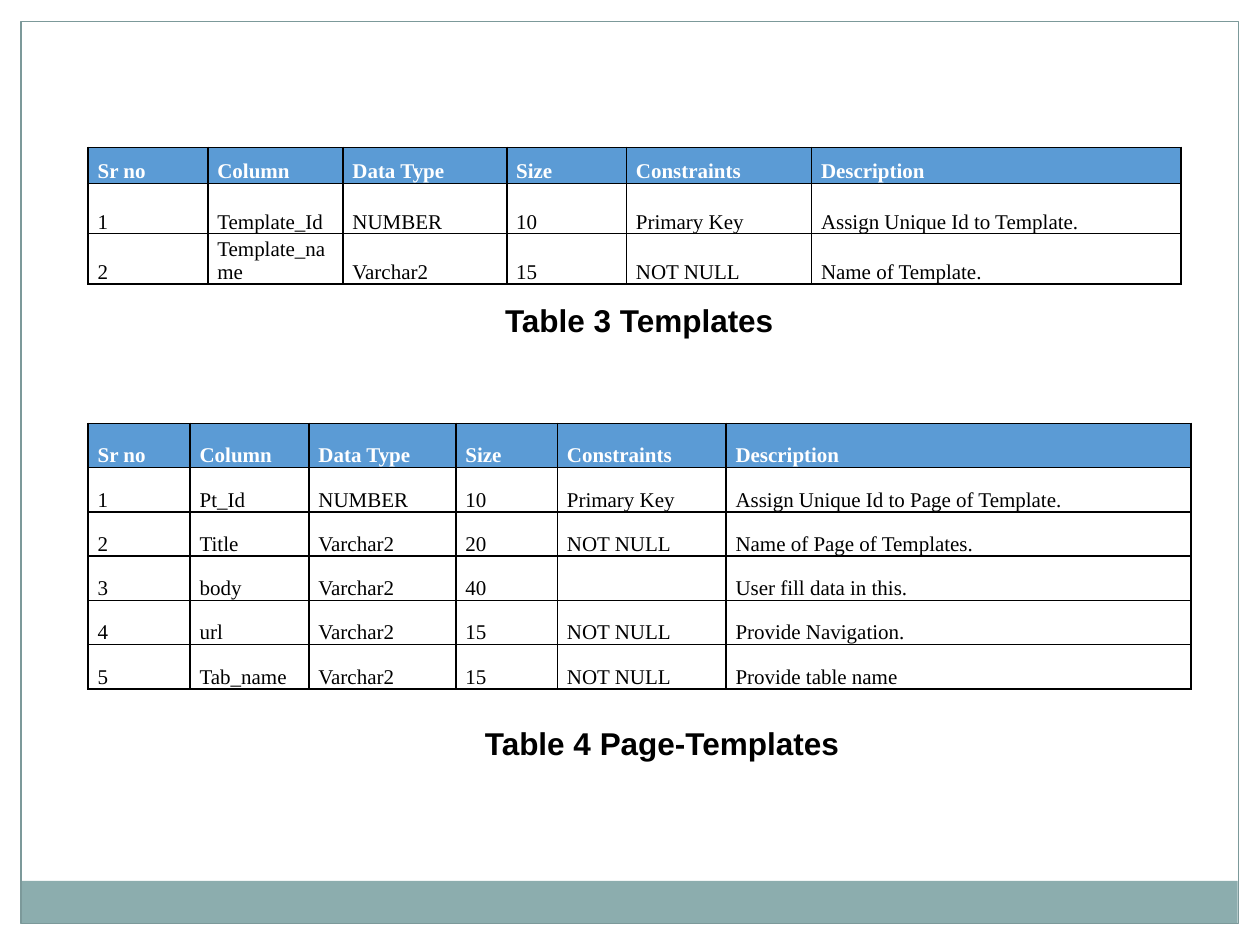
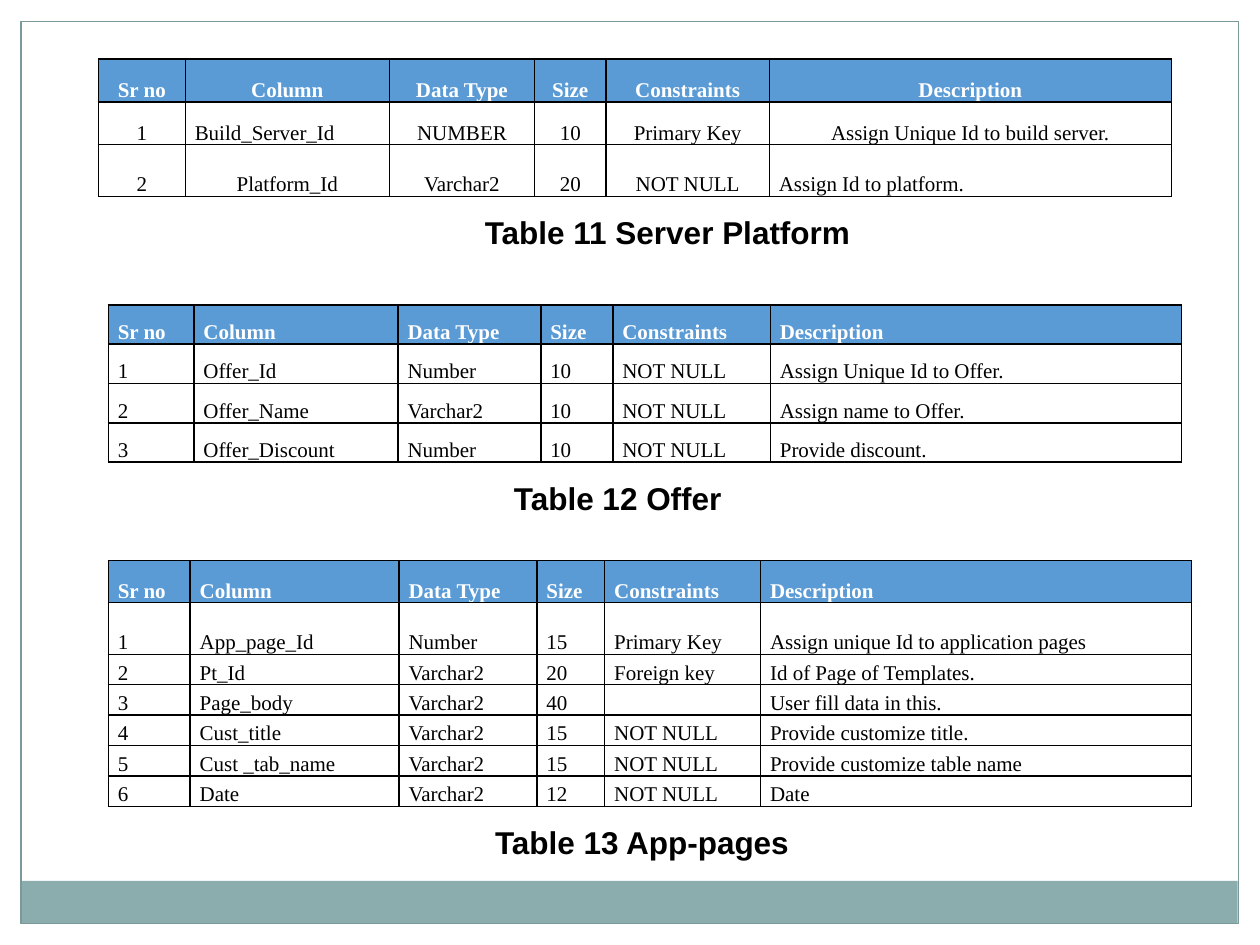
from lxml import etree
from pptx import Presentation
from pptx.dml.color import RGBColor
from pptx.enum import shapes, text
from pptx.oxml import ns
from pptx.util import Pt

HEADINGS = ("Sr no", "Column", "Data Type", "Size", "Constraints", "Description")


def colour(value):
    """Turn a hex string into a colour."""
    return RGBColor.from_string(value)


class Report:
    """Holds the report style and the current slide."""

    BAND, FRAME, HEADER = "8CADAE", "7C999A", "5B9BD5"
    WHITE, BLACK = "FFFFFF", "000000"
    CELL_FONT, CAPTION_FONT = "Times New Roman", "Arial"
    CELL_SIZE, CAPTION_SIZE = 12, 18
    CELL_INSET = 5.4

    def __init__(self):
        """Open an empty 10 by 7.5 inch deck."""
        self.deck = Presentation()
        self.deck.slide_width, self.deck.slide_height = Pt(720), Pt(540)
        self.page = None

    def add_page(self):
        """Start a slide with its bottom band and frame."""
        self.page = self.deck.slides.add_slide(self.deck.slide_layouts[6])
        self.rectangle(11.75, 503.3, 695.5, 24.4, fill=self.BAND)
        self.rectangle(12, 12.2, 695.6, 515.5, line=self.FRAME)

    def rectangle(self, left, top, width, height, fill=None, line=None):
        """Draw a plain rectangle."""
        shape = self.page.shapes.add_shape(
            shapes.MSO_SHAPE.RECTANGLE, Pt(left), Pt(top), Pt(width), Pt(height))
        shape.shadow.inherit = False
        for part, value in ((shape.fill, fill), (shape.line.fill, line)):
            if value:
                part.solid()
                part.fore_color.rgb = colour(value)
            else:
                part.background()
        if line:
            shape.line.width = Pt(0.75)

    def span(self, para, content, font, size, shade, bold):
        """Add one styled run."""
        span = para.add_run()
        span.text = content
        span.font.name, span.font.size, span.font.bold = font, Pt(size), bold
        span.font.color.rgb = colour(shade)

    def caption(self, left, top, width, content):
        """Write the bold caption below a table."""
        box = self.page.shapes.add_textbox(Pt(left), Pt(top), Pt(width), Pt(29))
        frame = box.text_frame
        frame.word_wrap = False
        frame.auto_size = text.MSO_AUTO_SIZE.SHAPE_TO_FIT_TEXT
        self.span(frame.paragraphs[0], content, self.CAPTION_FONT,
                  self.CAPTION_SIZE, self.BLACK, True)

    def borders(self, cell):
        """Give a cell a black one-point line on all sides."""
        properties = cell._tc.get_or_add_tcPr()
        for index, side in enumerate("LRTB"):
            line = etree.Element(ns.qn(f"a:ln{side}"), w=str(Pt(1)))
            fill = etree.SubElement(line, ns.qn("a:solidFill"))
            etree.SubElement(fill, ns.qn("a:srgbClr"), val=self.BLACK)
            properties.insert(index, line)

    def cell(self, cell, content, heading, centred):
        """Fill in one table cell."""
        cell.vertical_anchor = text.MSO_ANCHOR.BOTTOM
        cell.margin_left = cell.margin_right = Pt(self.CELL_INSET)
        cell.margin_top = cell.margin_bottom = 0
        if heading:
            cell.fill.solid()
            cell.fill.fore_color.rgb = colour(self.HEADER)
        else:
            cell.fill.background()
        self.borders(cell)
        para = cell.text_frame.paragraphs[0]
        para.alignment = text.PP_ALIGN.CENTER if centred else text.PP_ALIGN.LEFT
        if content:
            self.span(para, content, self.CELL_FONT, self.CELL_SIZE,
                      self.WHITE if heading else self.BLACK, heading)
        else:
            etree.SubElement(para._p, ns.qn("a:endParaRPr"),
                             sz=str(self.CELL_SIZE * 100))

    def table(self, left, top, widths, heights, fields, centred=False, left_texts=()):
        """Draw a table of numbered fields below the shared headings."""
        rows = [HEADINGS] + [(str(n), *field) for n, field in enumerate(fields, 1)]
        table = self.page.shapes.add_table(
            len(rows), len(HEADINGS), Pt(left), Pt(top),
            Pt(sum(widths)), Pt(sum(heights))).table
        table.first_row = table.horz_banding = False
        for column, width in zip(table.columns, widths):
            column.width = Pt(width)
        for r, (row, height) in enumerate(zip(rows, heights)):
            table.rows[r].height = Pt(height)
            for c, content in enumerate(row):
                self.cell(table.cell(r, c), content, r == 0,
                          centred and content not in left_texts)


def main():
    """Build both slides and save them."""
    report = Report()

    report.add_page()
    report.table(50.4, 84.2, (68.4, 77.2, 93.6, 68.4, 105.8, 211), (20.6, 28.8, 28.8), (
        ("Template_Id", "NUMBER", "10", "Primary Key", "Assign Unique Id to Template."),
        ("Template_name", "Varchar2", "15", "NOT NULL", "Name of Template."),
    ))
    report.caption(281.5, 168.5, 169.2, "Table 3 Templates")
    report.table(50.4, 241.9, (58.3, 67.9, 84, 58, 96.4, 265.6), [25.3] * 6, (
        ("Pt_Id", "NUMBER", "10", "Primary Key", "Assign Unique Id to Page of Template."),
        ("Title", "Varchar2", "20", "NOT NULL", "Name of Page of Templates."),
        ("body", "Varchar2", "40", "", "User fill data in this."),
        ("url", "Varchar2", "15", "NOT NULL", "Provide Navigation."),
        ("Tab_name", "Varchar2", "15", "NOT NULL", "Provide table name"),
    ))
    report.caption(270, 410.4, 223.9, "Table 4 Page-Templates")

    report.add_page()
    report.table(56.2, 33.7, (49.7, 116.6, 83, 40.8, 93.4, 229.7), (24.5, 24.5, 29.6), (
        ("Build_Server_Id", "NUMBER", "10", "Primary Key",
         "Assign Unique Id to build server."),
        ("Platform_Id", "Varchar2", "20", "NOT NULL", "Assign Id to platform."),
    ), centred=True, left_texts=("Build_Server_Id", "Assign Id to platform."))
    report.caption(270, 118.1, 225.4, "Table 11 Server Platform")
    report.table(61.9, 174.2, (49, 116.6, 81.6, 41.2, 90, 234.8), [22.5] * 4, (
        ("Offer_Id", "Number", "10", "NOT NULL", "Assign Unique Id to Offer."),
        ("Offer_Name", "Varchar2", "10", "NOT NULL", "Assign name to Offer."),
        ("Offer_Discount", "Number", "10", "NOT NULL", "Provide discount."),
    ))
    report.caption(286.6, 270, 139.7, "Table 12 Offer")
    report.table(61.9, 320.4, (46.8, 119.4, 78.8, 38.7, 89.1, 246.1),
                 [24, 29.5] + [17.4] * 5, (
        ("App_page_Id", "Number", "15", "Primary Key",
         "Assign unique Id to application pages"),
        ("Pt_Id", "Varchar2", "20", "Foreign key", "Id of Page of Templates."),
        ("Page_body", "Varchar2", "40", "", "User fill data in this."),
        ("Cust_title", "Varchar2", "15", "NOT NULL", "Provide customize title."),
        ("Cust _tab_name", "Varchar2", "15", "NOT NULL", "Provide customize table name"),
        ("Date", "Varchar2", "12", "NOT NULL", "Date"),
    ))
    report.caption(275.8, 466.6, 184.3, "Table 13 App-pages")

    report.deck.save("out.pptx")


if __name__ == "__main__":
    main()
